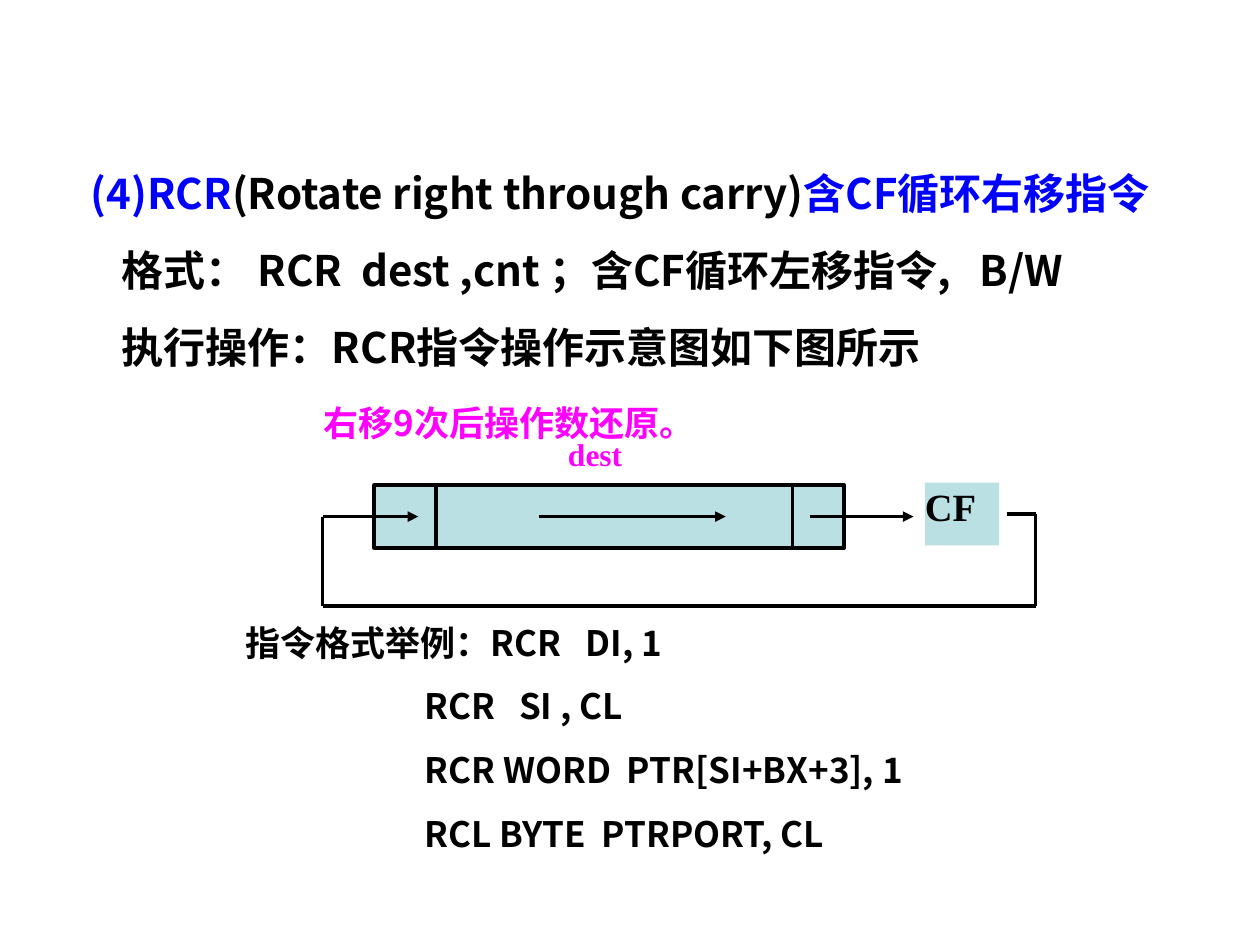
from lxml import etree
from pptx import Presentation
from pptx import util as u
from pptx.dml import color
from pptx.enum import shapes, text
from pptx.oxml import ns

COLUMNS, ROWS = 100, 75
CELL = u.Inches(0.1)
SANS, SERIF = "Noto Sans CJK SC", "Times New Roman"
BLACK, BLUE, MAGENTA, AQUA = "000000", "0000FF", "FF00FF", "BBE0E3"


def cells(*counts):
    return [u.Emu(round(count * CELL)) for count in counts]


def rgb(value):
    return color.RGBColor.from_string(value)


def format_run(run, size, ink, face):
    run.font.size = u.Pt(size)
    run.font.bold = True
    run.font.name = face
    run.font.color.rgb = rgb(ink)
    east_asian = etree.SubElement(run.font._element, ns.qn("a:ea"))
    east_asian.set("typeface", face)


def add_runs(paragraph, pieces, size, face=SANS):
    for words, ink in pieces:
        run = paragraph.add_run()
        run.text = words
        format_run(run, size, ink, face)


def prepare_frame(frame, inset=1, wrap=True):
    frame.word_wrap = wrap
    frame.auto_size = text.MSO_AUTO_SIZE.NONE
    frame.vertical_anchor = text.MSO_ANCHOR.TOP
    frame.margin_left, frame.margin_right = cells(inset, inset)
    frame.margin_top, frame.margin_bottom = cells(inset / 2, inset / 2)


def set_title(slide, area, pieces, size):
    title = slide.shapes.title
    title.left, title.top, title.width, title.height = cells(*area)
    prepare_frame(title.text_frame)
    heading = title.text_frame.paragraphs[0]
    heading.alignment = text.PP_ALIGN.LEFT
    heading.line_spacing = u.Pt(size * 1.2)
    add_runs(heading, pieces, size)


def add_lines(slide, area, lines, pitch):
    frame = slide.shapes.add_textbox(*cells(*area)).text_frame
    prepare_frame(frame)
    for index, (words, indent, size, ink, gap) in enumerate(lines):
        line = frame.paragraphs[0] if index == 0 else frame.add_paragraph()
        line.line_spacing = u.Pt(pitch)
        line.space_before = u.Pt(gap if index else 0)
        line._p.get_or_add_pPr().set("marL", str(cells(indent)[0]))
        add_runs(line, [(words, ink)], size)


def add_label(slide, area, words, size, ink):
    frame = slide.shapes.add_textbox(*cells(*area)).text_frame
    prepare_frame(frame, wrap=False)
    add_runs(frame.paragraphs[0], [(words, ink)], size, SERIF)


def add_register(diagram, area, outlined, words=""):
    register = diagram.shapes.add_shape(shapes.MSO_SHAPE.RECTANGLE, *cells(*area))
    register.shadow.inherit = False
    register.fill.solid()
    register.fill.fore_color.rgb = rgb(AQUA)
    if outlined:
        register.line.color.rgb = rgb(BLACK)
        register.line.width = u.Pt(2)
    else:
        register.line.fill.background()
    if words:
        prepare_frame(register.text_frame, inset=0)
        register.text_frame.paragraphs[0].alignment = text.PP_ALIGN.LEFT
        add_runs(register.text_frame.paragraphs[0], [(words, BLACK)], 22, SERIF)


def add_wire(diagram, start, end, arrow=False):
    wire = diagram.shapes.add_connector(
        shapes.MSO_CONNECTOR.STRAIGHT, *cells(*start, *end))
    wire.line.color.rgb = rgb(BLACK)
    wire.line.width = u.Pt(2)
    if arrow:
        head = etree.SubElement(wire.line._get_or_add_ln(), ns.qn("a:tailEnd"))
        head.set("type", "triangle")
    etree.SubElement(wire._element.spPr, ns.qn("a:effectLst"))


def add_rotation_diagram(slide):
    diagram = slide.shapes.add_group_shape()
    top, bottom, middle = 38.5, 43.5, 41
    loop_left, loop_right, loop_bottom, carry_exit = 25.6, 82.2, 48.1, 40.8

    add_register(diagram, (73.4, 38.3, 5.9, 5), False, "CF")
    add_register(diagram, (29.7, top, 37.3, bottom - top), True)
    for divider in (34.6, 62.9):
        add_wire(diagram, (divider, top), (divider, bottom))
    for start, end in ((42.8, 57.6), (64.3, 72.5), (loop_left, 33.2)):
        add_wire(diagram, (start, middle), (end, middle), arrow=True)

    corners = [(79.9, carry_exit), (loop_right, carry_exit),
               (loop_right, loop_bottom), (loop_left, loop_bottom),
               (loop_left, middle)]
    for start, end in zip(corners, corners[1:]):
        add_wire(diagram, start, end)


def main():
    deck = Presentation()
    deck.slide_width, deck.slide_height = cells(COLUMNS, ROWS)
    slide = deck.slides.add_slide(deck.slide_layouts[5])

    set_title(slide, (6.2, 12.8, 92.6, 6), [
        ("(4)RCR", BLUE),
        ("(Rotate right through carry)", BLACK),
        ("含CF循环右移指令", BLUE),
    ], 24)
    add_lines(slide, (4.9, 18.9, 92.6, 16.5), [
        ("格式： RCR  dest ,cnt ；含CF循环左移指令,   B/W", 3.8, 24, BLACK, 15),
        ("执行操作：RCR指令操作示意图如下图所示", 3.8, 24, BLACK, 15),
        ("右移9次后操作数还原。", 19.8, 20, MAGENTA, 12.5),
    ], 28.8)
    add_rotation_diagram(slide)
    add_label(slide, (44.1, 34, 6.3, 4), "dest", 18, MAGENTA)

    examples = ["指令格式举例：RCR   DI, 1", "RCR   SI , CL",
                "RCR WORD  PTR[SI+BX+3], 1", "RCL BYTE  PTRPORT, CL"]
    add_lines(slide, (18.5, 48.8, 73.7, 22.9), [
        (words, 14.2 if index else 0, 20, BLACK, 12.5)
        for index, words in enumerate(examples)
    ], 24)

    deck.save("out.pptx")


if __name__ == "__main__":
    main()
